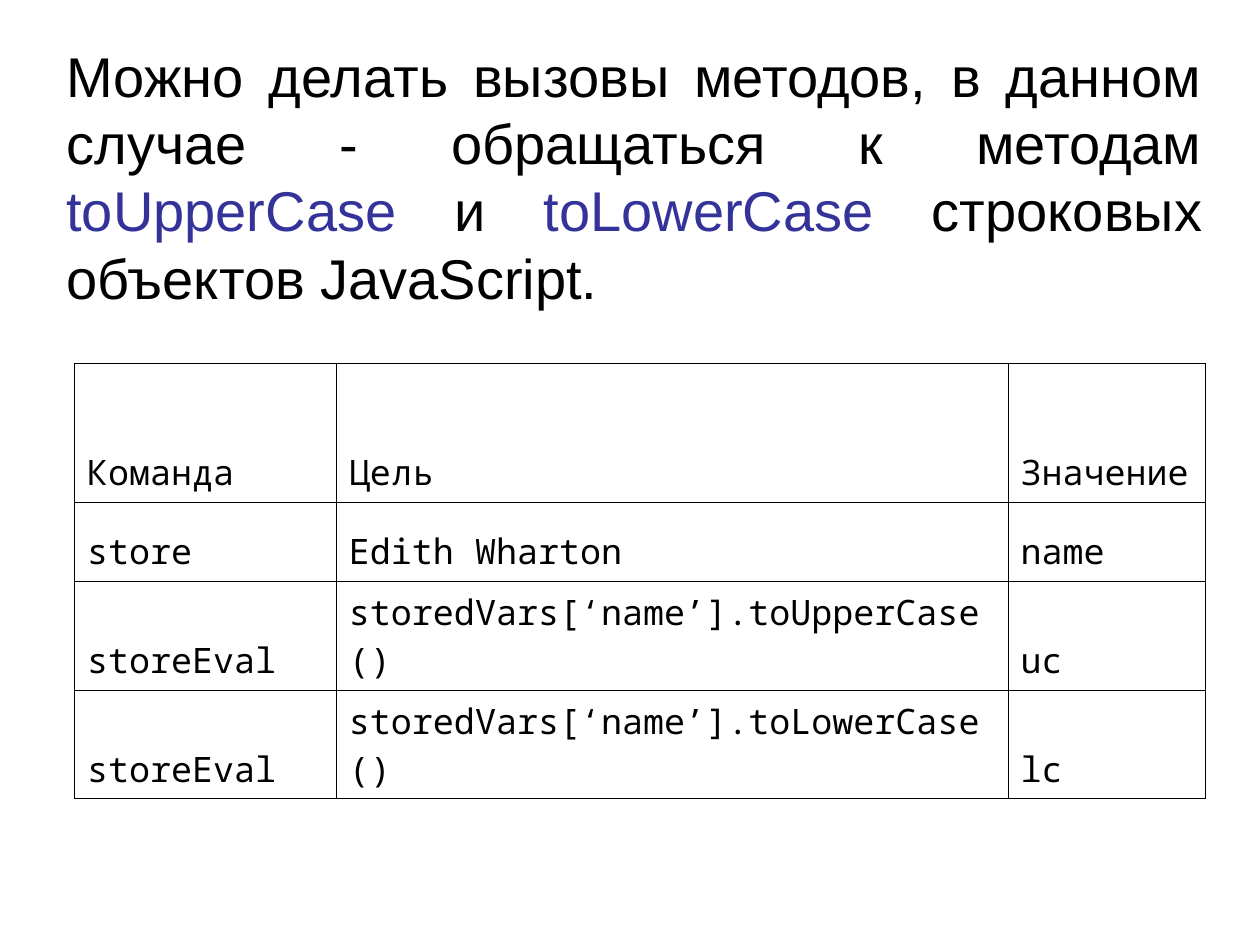
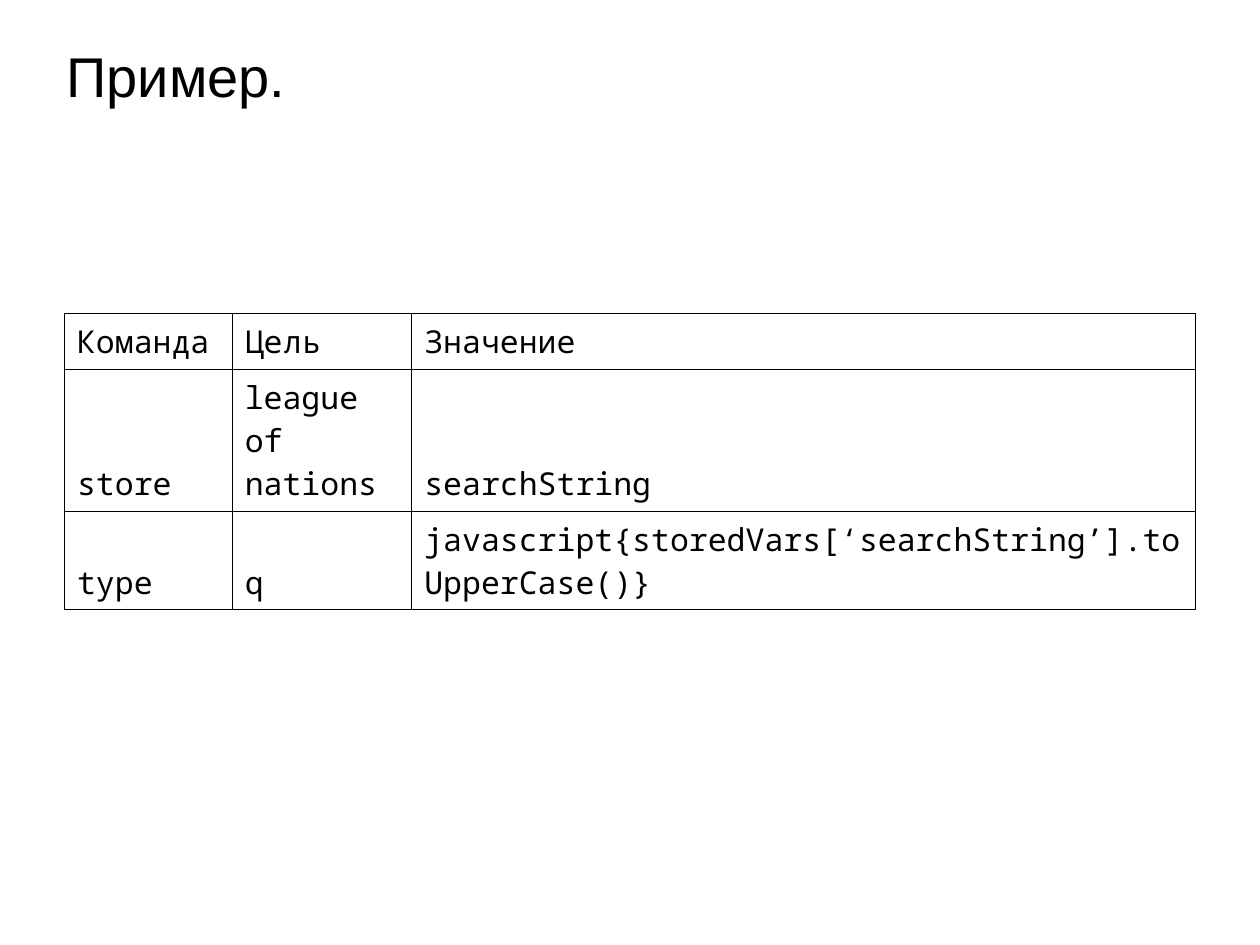
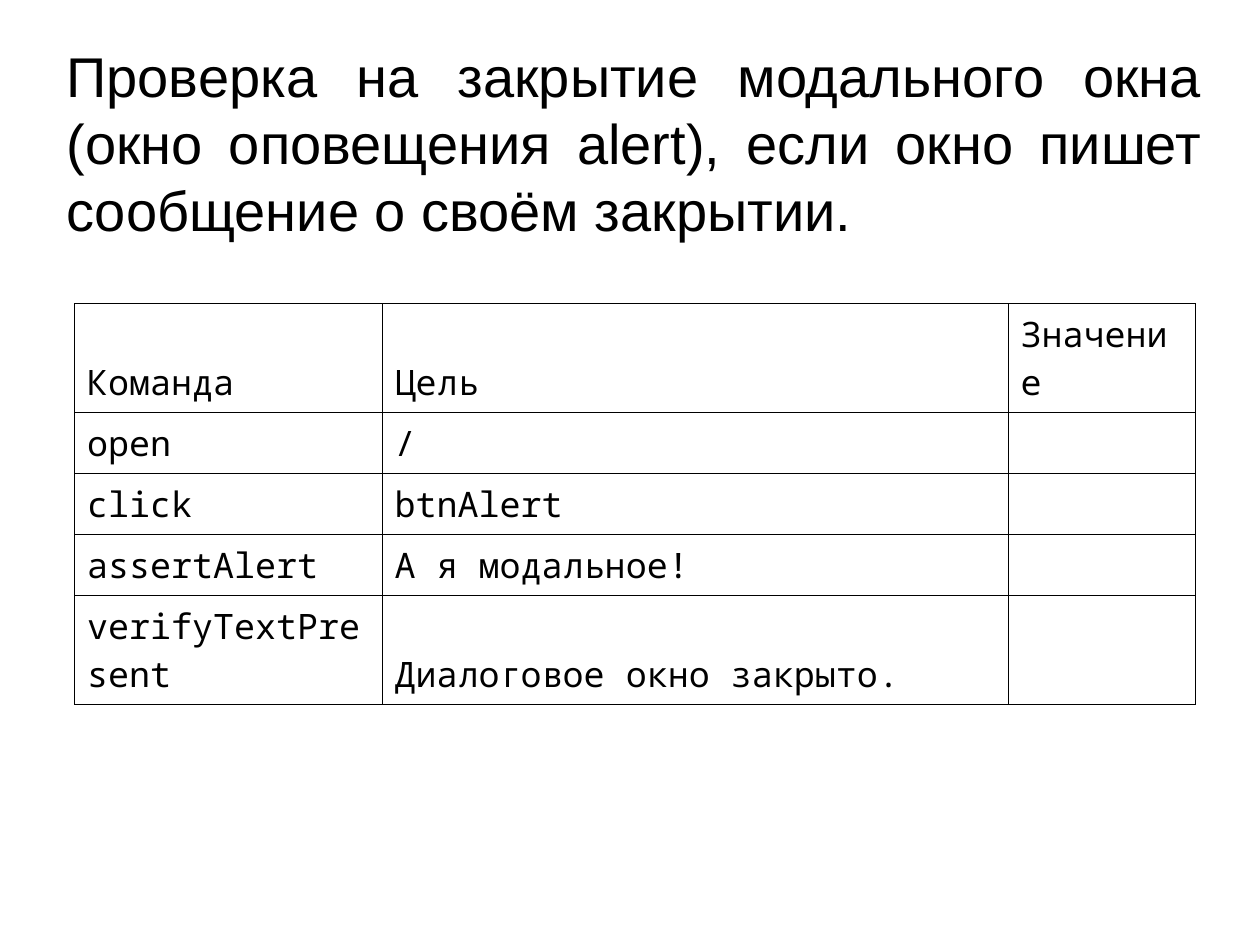
from lxml.etree import SubElement
from pptx import Presentation
from pptx.dml.color import RGBColor
from pptx.enum.text import MSO_ANCHOR as Anchor, PP_ALIGN as Align
from pptx.oxml.ns import qn
from pptx.util import Cm, Pt

BLACK = "000000"
METHOD_BLUE = "333399"
BODY_FONT = "Arial"
CODE_FONT = "Noto Sans Mono"
HEADER = ("Команда", "Цель", "Значение")


def color(value):
    return RGBColor.from_string(value)


def add_text(paragraph, text, size=32, font=BODY_FONT, fill=BLACK):
    run = paragraph.add_run()
    run.text = text
    run.font.size = Pt(size)
    run.font.name = font
    run.font.color.rgb = color(fill)


def add_slide(presentation):
    return presentation.slides.add_slide(presentation.slide_layouts[6])


def add_statement(slide, *parts):
    box = slide.shapes.add_textbox(Cm(1.09), Cm(0.71), Cm(23.4), Cm(17.6))
    frame = box.text_frame
    frame.word_wrap = True
    paragraph = frame.paragraphs[0]
    paragraph.alignment = Align.JUSTIFY
    paragraph.space_before = Pt(8)
    for text, fill in parts:
        add_text(paragraph, text, fill=fill)


def outline_cell(cell):
    properties = cell._tc.get_or_add_tcPr()
    for side in ("a:lnL", "a:lnR", "a:lnT", "a:lnB"):
        line = SubElement(properties, qn(side), w=str(Pt(0.45)))
        fill = SubElement(line, qn("a:solidFill"))
        SubElement(fill, qn("a:srgbClr"), val=BLACK)


def add_command_table(slide, left, top, widths, heights, commands, size=20):
    rows = [HEADER, *commands]
    table = slide.shapes.add_table(
        len(rows), len(widths), Cm(left), Cm(top), Cm(sum(widths)), Cm(sum(heights))
    ).table
    table.first_row = False
    table.horz_banding = False
    for column, width in zip(table.columns, widths):
        column.width = Cm(width)
    for row, height, texts in zip(table.rows, heights, rows):
        row.height = Cm(height)
        for cell, text in zip(row.cells, texts):
            outline_cell(cell)
            cell.fill.background()
            cell.vertical_anchor = Anchor.BOTTOM
            if text:
                add_text(cell.text_frame.paragraphs[0], text, size=size, font=CODE_FONT)


def add_method_calls(presentation):
    slide = add_slide(presentation)
    add_statement(
        slide,
        ("Можно делать вызовы методов, в данном случае - обращаться к методам ", BLACK),
        ("toUpperCase", METHOD_BLUE),
        (" и ", BLACK),
        ("toLowerCase", METHOD_BLUE),
        (" строковых объектов JavaScript.", BLACK),
    )
    commands = [
        ("store", "Edith Wharton", "name"),
        ("storeEval", "storedVars[‘name’].toUpperCase()", "uc"),
        ("storeEval", "storedVars[‘name’].toLowerCase()", "lc"),
    ]
    add_command_table(slide, 1.5, 7.32, (5.28, 13.54, 3.98), (2.8, 1.6, 2.19, 2.19), commands)


def add_example(presentation):
    slide = add_slide(presentation)
    add_statement(slide, ("Пример.", BLACK))
    commands = [
        ("store", "league of nations", "searchString"),
        ("type", "q", "javascript{storedVars[‘searchString’].toUpperCase()}"),
    ]
    add_command_table(
        slide, 1.3, 6.32, (3.38, 3.62, 15.8), (1.13, 2.85, 1.99), commands, size=18
    )


def add_alert_check(presentation):
    slide = add_slide(presentation)
    add_statement(
        slide,
        (
            "Проверка на закрытие модального окна (окно оповещения alert), "
            "если окно пишет сообщение о своём закрытии.",
            BLACK,
        ),
    )
    commands = [
        ("open", "/", ""),
        ("click", "btnAlert", ""),
        ("assertAlert", "А я модальное!", ""),
        ("verifyTextPresent", "Диалоговое окно закрыто.", ""),
    ]
    add_command_table(
        slide, 1.5, 6.12, (6.2, 12.62, 3.78), (2.19, 1.23, 1.23, 1.23, 2.19), commands
    )


def main():
    presentation = Presentation()
    presentation.slide_width = Cm(25.4)
    presentation.slide_height = Cm(19.05)
    add_method_calls(presentation)
    add_example(presentation)
    add_alert_check(presentation)
    presentation.save("out.pptx")


if __name__ == "__main__":
    main()
